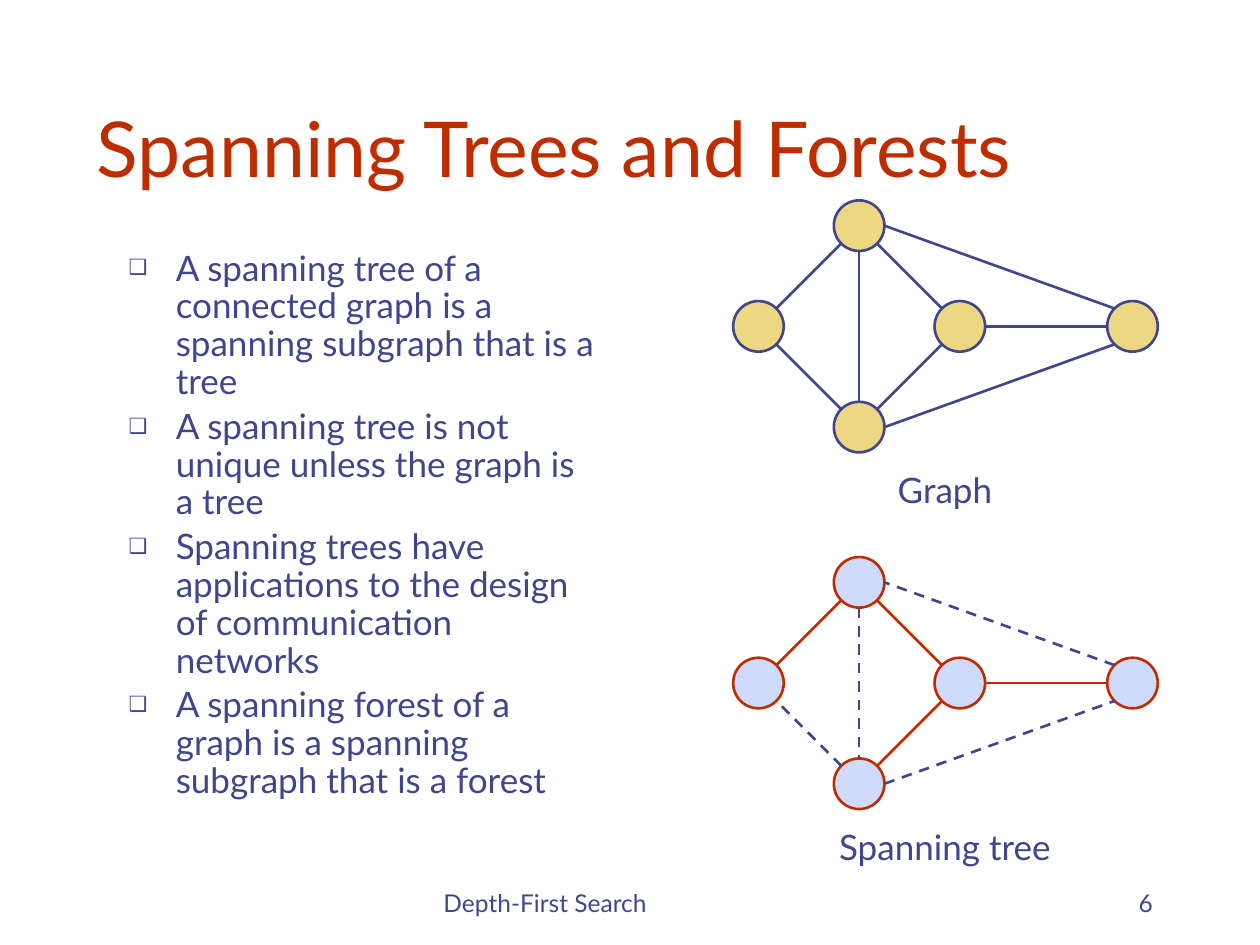
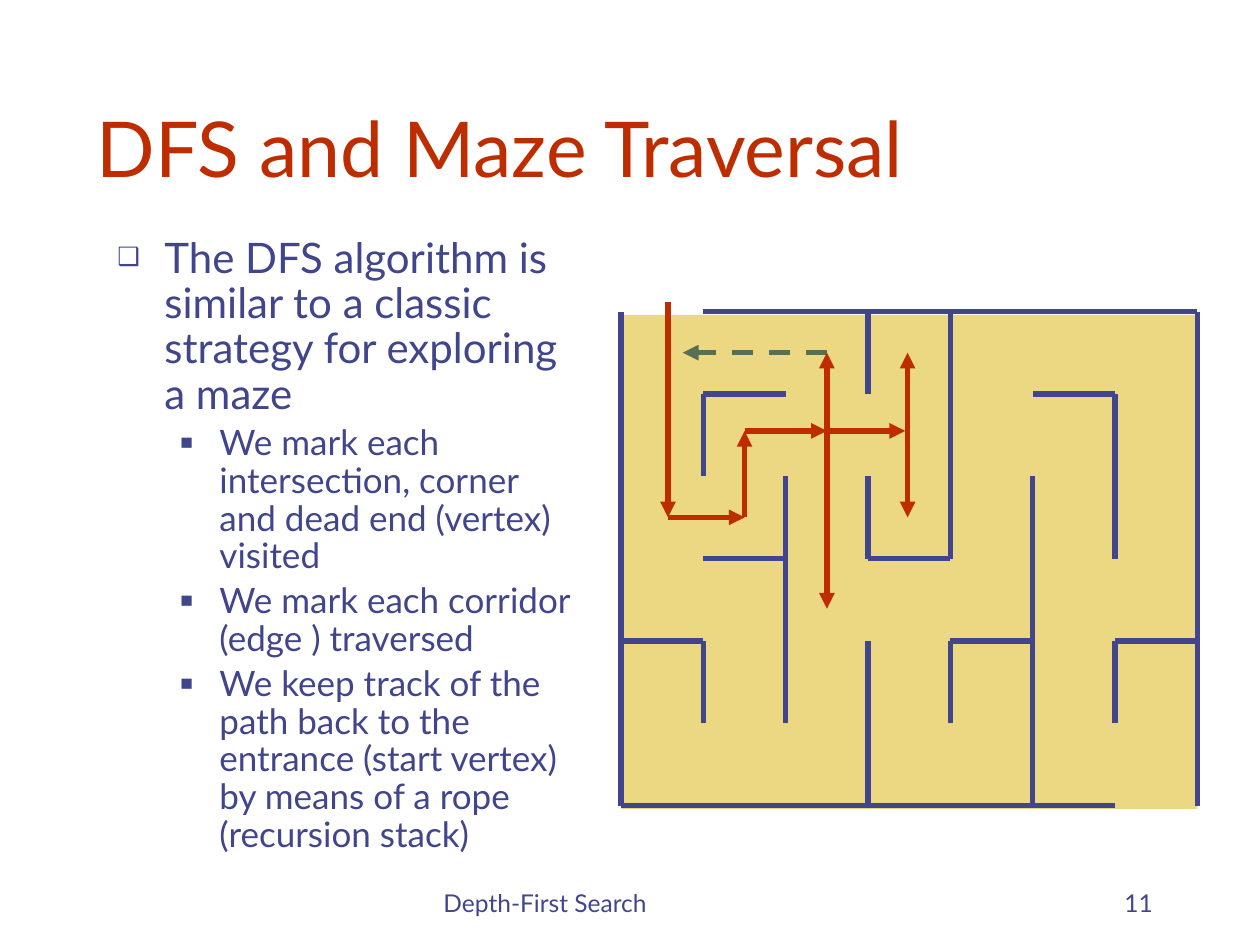
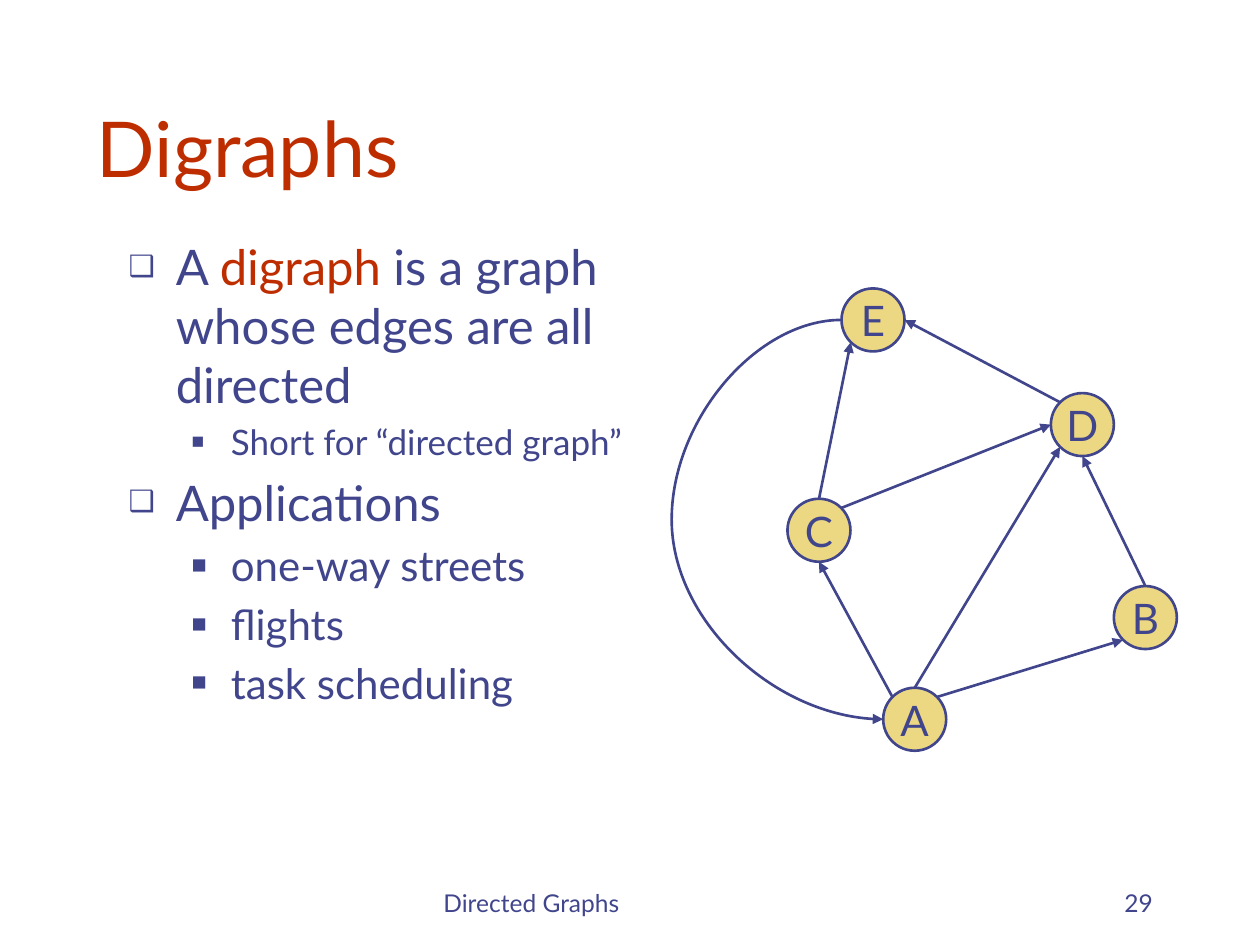
"""Build three slides on spanning trees, maze traversal and digraphs."""
from math import cos, radians, sin

from lxml import etree
from pptx import Presentation
from pptx import util as u
from pptx.dml.color import RGBColor
from pptx.enum import dml, shapes, text
from pptx.oxml.ns import qn

HUES = {"ink": "40458C", "red": "BE2D00", "gold": "ECD882",
        "pale": "CFDBFD", "moss": "577052"}
FACE = "Lato"
MARKS = [("❑", 0.95, -0.95), ("■", 2.06, -0.79)]

EDGES = [("top", 3, "left", 7), ("low", 1, "left", 5), ("low", 7, "mid", 3),
         ("top", 5, "mid", 1), ("top", 4, "low", 0), ("mid", 6, "far", 2),
         ("low", 6, "far", 3), ("far", 1, "top", 6)]
TREE = {("top", "left"), ("low", "mid"), ("top", "mid"), ("mid", "far")}

CELL, LEFT, TOP = 1.66, 12.52, 6.28
WALLS = [(0, 0, 0, 6), (7, 0, 7, 6), (1, 0, 7, 0), (0, 6, 6, 6),
         (1, 1, 1, 2), (3, 2, 3, 3), (2, 2, 2, 3), (2, 3, 1, 3),
         (6, 1, 5, 1), (3, 4, 3, 6), (4, 0, 4, 3), (5, 2, 5, 6),
         (7, 4, 6, 4), (6, 4, 6, 5), (4, 3, 3, 3), (2, 1, 1, 1),
         (4, 4, 4, 5), (5, 4, 4, 4), (2, 3, 2, 5), (1, 4, 0, 4),
         (1, 4, 1, 5), (3, 0, 3, 1), (6, 1, 6, 3)]
TRAIL = [(0.57, -0.12, 0.57, 2.5), (0.57, 2.5, 1.5, 2.5),
         (1.5, 2.5, 1.5, 1.45), (1.5, 1.45, 2.5, 1.45),
         (2.5, 1.45, 2.5, 0.5), (2.5, 1.45, 2.5, 3.61),
         (2.5, 1.45, 3.45, 1.45), (3.48, 1.45, 3.48, 0.5),
         (3.48, 1.45, 3.48, 2.5)]

SPOTS = {"A": (18.44, 14.5), "B": (23.09, 12.45), "C": (16.51, 10.69),
         "D": (21.82, 8.56), "E": (17.6, 6.45)}
ARCS = [("A", 1, "C", 4), ("A", 7, "B", 3), ("C", 0, "E", 3),
        ("D", 1, "E", 6), ("B", 0, "D", 4), ("A", 0, "D", 3),
        ("C", 7, "D", 2)]


def hue(name):
    """Return the named colour."""
    return RGBColor.from_string(HUES[name])


def style(font, size, name="ink"):
    """Set face, size and colour of a font."""
    font.name, font.size = FACE, u.Pt(size)
    font.color.rgb = hue(name)


def place(shape, *box):
    """Move a shape to a box in centimetres."""
    shape.left, shape.top, shape.width, shape.height = map(u.Cm, box)


def label(slide, box, words, size, align, anchor=text.MSO_ANCHOR.TOP):
    """Add a one-line text box."""
    frame = slide.shapes.add_textbox(*map(u.Cm, box)).text_frame
    frame.word_wrap = True
    frame.vertical_anchor = anchor
    para = frame.paragraphs[0]
    para.text, para.alignment = words, align
    style(para.font, size)


def start(deck, title, foot, page):
    """Add a slide with its title, footer and page number."""
    slide = deck.slides.add_slide(deck.slide_layouts[1])
    head = slide.shapes.title
    place(head, 1.7, 0.84, 21.59, 3.18)
    frame = head.text_frame
    frame.text = title
    frame.auto_size = text.MSO_AUTO_SIZE.NONE
    frame.vertical_anchor = text.MSO_ANCHOR.BOTTOM
    frame.paragraphs[0].alignment = text.PP_ALIGN.LEFT
    style(frame.paragraphs[0].font, 44, "red")
    low = text.MSO_ANCHOR.BOTTOM
    label(slide, (8.69, 17.35, 8.05, 1.27), foot, 14, text.PP_ALIGN.LEFT, low)
    label(slide, (18.21, 17.35, 5.28, 1.27), str(page), 14,
          text.PP_ALIGN.RIGHT, low)
    return slide


def bullet(para, level):
    """Give a paragraph the mark and indent of its level."""
    mark, left, hang = MARKS[level]
    props = para._p.get_or_add_pPr()
    props.set("marL", str(u.Cm(left)))
    props.set("indent", str(u.Cm(hang)))
    tint = etree.SubElement(props, qn("a:buClr"))
    etree.SubElement(tint, qn("a:srgbClr"), val=HUES["ink"])
    etree.SubElement(props, qn("a:buSzPct"), val="60000")
    etree.SubElement(props, qn("a:buChar"), char=mark)


def body(slide, box, items, pitch):
    """Fill the body with (level, size, words); stars enclose red words."""
    hold = slide.placeholders[1]
    place(hold, *box)
    frame = hold.text_frame
    frame.auto_size = text.MSO_AUTO_SIZE.NONE
    for i, (level, size, words) in enumerate(items):
        para = frame.add_paragraph() if i else frame.paragraphs[0]
        para.level = level
        bullet(para, level)
        para.line_spacing = pitch
        para.space_before = u.Pt(size * 0.2 if i else 0)
        style(para.font, size)
        for j, part in enumerate(words.split("*")):
            run = para.add_run()
            run.text = part
            if j % 2:
                run.font.color.rgb = hue("red")


def node(slide, spot, size, fill, edge, name=""):
    """Draw a round vertex about its centre."""
    x, y = spot
    box = (x - size / 2, y - size / 2, size, size)
    disc = slide.shapes.add_shape(shapes.MSO_SHAPE.OVAL, *map(u.Cm, box))
    disc.shadow.inherit = False
    disc.fill.solid()
    disc.fill.fore_color.rgb = hue(fill)
    disc.line.color.rgb = hue(edge)
    disc.line.width = u.Pt(1.5)
    if name:
        frame = disc.text_frame
        frame.word_wrap = False
        frame.vertical_anchor = text.MSO_ANCHOR.MIDDLE
        para = frame.paragraphs[0]
        para.text, para.alignment = name, text.PP_ALIGN.CENTER
        style(para.font, 24)


def rim(spot, size, site):
    """Return a rim point; sites run counterclockwise from the top."""
    turn = radians(90 + 45 * site)
    return spot[0] + size / 2 * cos(turn), spot[1] - size / 2 * sin(turn)


def link(slide, tail, tip, color="ink", width=1.5, dash=False, arrow=False,
         kind=shapes.MSO_CONNECTOR.STRAIGHT):
    """Draw a connector between two points."""
    wire = slide.shapes.add_connector(kind, *map(u.Cm, (*tail, *tip)))
    wire.line.color.rgb = hue(color)
    wire.line.width = u.Pt(width)
    if dash:
        wire.line.dash_style = dml.MSO_LINE.DASH
    props = wire.element.spPr
    if arrow:
        etree.SubElement(props.find(qn("a:ln")), qn("a:tailEnd"),
                         type="triangle")
    etree.SubElement(props, qn("a:effectLst"))
    return wire


def graph(slide, drop, name, tree):
    """Draw the five-vertex graph, with its tree marked if asked."""
    size, mid = 1.02, 6.58 + drop
    spots = {"left": (15.29, mid), "top": (17.32, mid - 2.03),
             "mid": (19.35, mid), "low": (17.32, mid + 2.03),
             "far": (22.83, mid)}
    for spot in spots.values():
        node(slide, spot, size, *(("pale", "red") if tree else ("gold", "ink")))
    for a, out, b, into in EDGES:
        kept = (a, b) in TREE
        link(slide, rim(spots[a], size, out), rim(spots[b], size, into),
             "red" if tree and kept else "ink", dash=tree and not kept)
    label(slide, (15.09, 9.32 + drop, 7.92, 1.09), name, 20,
          text.PP_ALIGN.CENTER)


def path(slide, ends, color, **looks):
    """Draw a maze line between two grid points."""
    x1, y1, x2, y2 = ends
    link(slide, (LEFT + x1 * CELL, TOP + y1 * CELL),
         (LEFT + x2 * CELL, TOP + y2 * CELL), color, 3, **looks)


def maze(slide):
    """Draw the maze floor, its walls and the trail."""
    box = (LEFT, TOP + 0.07, 7 * CELL, 6 * CELL)
    floor = slide.shapes.add_shape(shapes.MSO_SHAPE.RECTANGLE,
                                   *map(u.Cm, box))
    floor.shadow.inherit = False
    floor.fill.solid()
    floor.fill.fore_color.rgb = hue("gold")
    floor.line.fill.background()
    for wall in WALLS:
        path(slide, wall, "ink")
    path(slide, (2.5, 0.5, 0.75, 0.5), "moss", dash=True, arrow=True)
    for step in TRAIL:
        path(slide, step, "red", arrow=True)


def digraph(slide):
    """Draw the lettered digraph with its curved edge."""
    size = 1.27
    for name, spot in SPOTS.items():
        node(slide, spot, size, "gold", "ink", name)
    for a, out, b, into in ARCS:
        link(slide, rim(SPOTS[a], size, out), rim(SPOTS[b], size, into),
             arrow=True)
    tail, tip = rim(SPOTS["E"], size, 2), rim(SPOTS["A"], size, 2)
    bow = link(slide, tail, tip, arrow=True, kind=shapes.MSO_CONNECTOR.CURVE)
    bend = (13.54 - tail[0]) / (tip[0] - tail[0])
    geom = bow.element.spPr.find(qn("a:prstGeom"))
    etree.SubElement(geom.find(qn("a:avLst")), qn("a:gd"), name="adj1",
                     fmla=f"val {round(bend * 100000)}")


def main():
    """Build and save the deck."""
    deck = Presentation()
    deck.slide_width, deck.slide_height = u.Cm(25.4), u.Cm(19.05)

    slide = start(deck, "Spanning Trees and Forests", "Depth-First Search", 6)
    body(slide, (2.34, 4.93, 9.96, 11.79), [
        (0, 20, "A spanning tree of a connected graph is a spanning subgraph "
                "that is a tree"),
        (0, 20, "A spanning tree is not unique unless the graph is a tree"),
        (0, 20, "Spanning trees have applications to the design of "
                "communication networks"),
        (0, 20, "A spanning forest of a graph is a spanning subgraph that is "
                "a forest")], 0.9)
    graph(slide, 0, "Graph", False)
    graph(slide, 7.19, "Spanning tree", True)

    slide = start(deck, "DFS and Maze Traversal", "Depth-First Search", 11)
    body(slide, (2.11, 4.65, 9.73, 12.7), [
        (0, 24, "The DFS algorithm is similar to a classic strategy for "
                "exploring a maze"),
        (1, 20, "We mark each intersection, corner and dead end (vertex) "
                "visited"),
        (1, 20, "We mark each corridor (edge ) traversed"),
        (1, 20, "We keep track of the path back to the entrance (start "
                "vertex) by means of a rope (recursion stack)")], 0.9)
    maze(slide)

    slide = start(deck, "Digraphs", "Directed Graphs", 29)
    body(slide, (2.34, 4.65, 11, 12.07), [
        (0, 28, "A *digraph* is a graph whose edges are all directed"),
        (1, 20, "Short for “directed graph”"),
        (0, 28, "Applications"),
        (1, 24, "one-way streets"),
        (1, 24, "flights"),
        (1, 24, "task scheduling")], 1.0)
    digraph(slide)

    deck.save("out.pptx")


if __name__ == "__main__":
    main()
